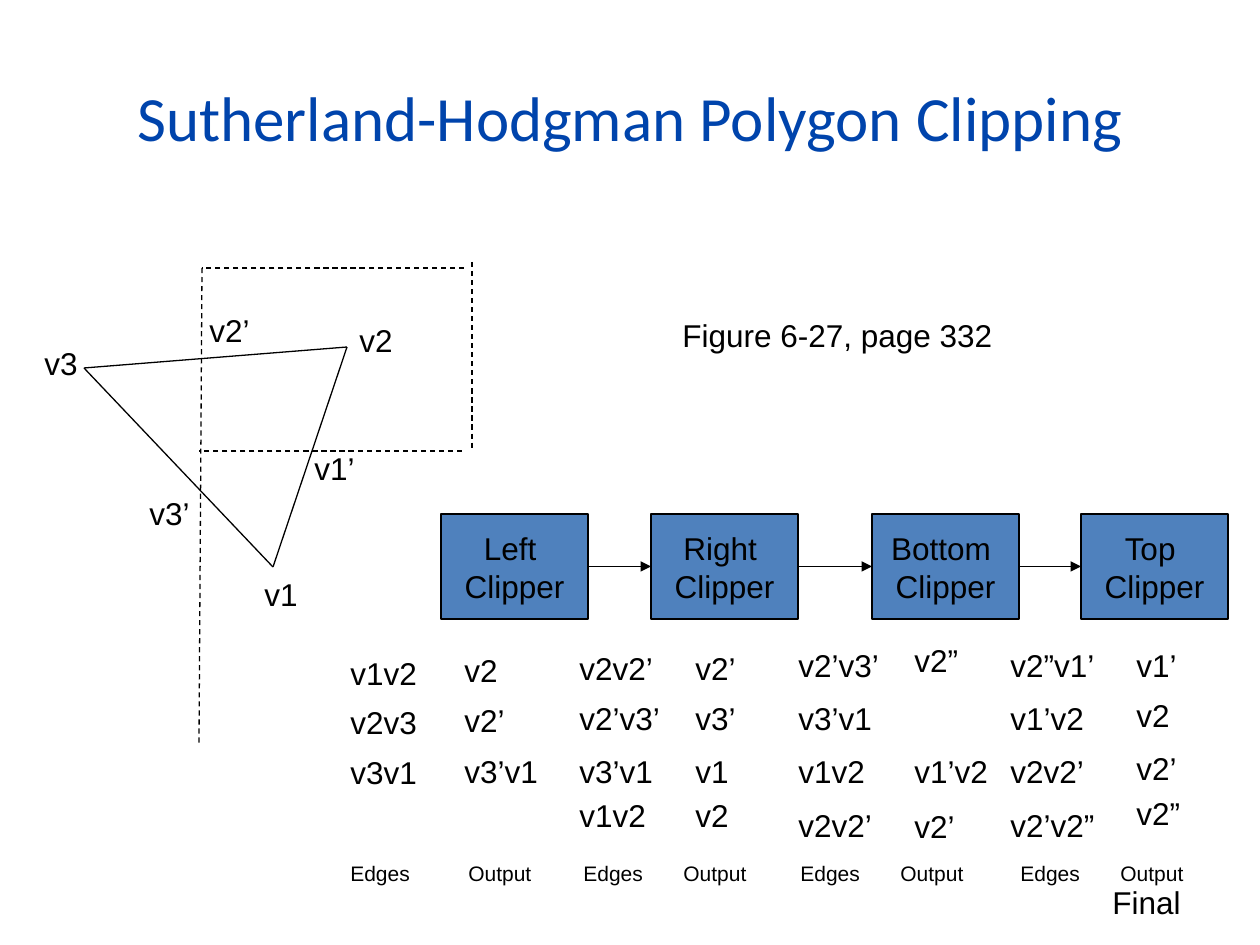
from itertools import pairwise

from lxml.etree import SubElement
from pptx import Presentation
from pptx.dml.color import RGBColor
from pptx.enum.dml import MSO_LINE
from pptx.enum.shapes import MSO_CONNECTOR, MSO_SHAPE
from pptx.enum.text import MSO_ANCHOR, MSO_AUTO_SIZE, PP_ALIGN
from pptx.oxml.ns import qn
from pptx.util import Emu, Pt

PX_PER_INCH = 126
BLACK = RGBColor(0x00, 0x00, 0x00)
TITLE_BLUE = RGBColor(0x00, 0x44, 0xAC)
CLIPPER_BLUE = RGBColor(0x4F, 0x81, 0xBD)

WINDOW_EDGES = [
    ((202, 268), (199, 746)),
    ((464, 268), (202, 268)),
    ((462, 451), (199, 451)),
    ((472, 262), (472, 451)),
]
V1, V2, V3 = (273, 567), (347, 347), (84, 368)
VERTEX_LABELS = [
    ("v2", 347, 315), ("v1", 252, 569), ("v3", 32, 338),
    ("v1’", 302, 443), ("v2’", 197, 305), ("v3’", 137, 488),
]
CLIPPERS = [("Left", 441), ("Right", 651), ("Bottom", 872), ("Top", 1081)]
# Each column: left, then the (vertices, top) entries under a clipper.
CLIPPER_COLUMNS = [
    (338, [("v1v2", 648), ("v2v3", 697), ("v3v1", 747)]),
    (452, [("v2", 645), ("v2’", 695), ("v3’v1", 746)]),
    (567, [("v2v2’", 643), ("v2’v3’", 693), ("v3’v1", 746), ("v1v2", 790)]),
    (683, [("v2’", 643), ("v3’", 693), ("v1", 746), ("v2", 790)]),
    (786, [("v2’v3’", 640), ("v3’v1", 693), ("v1v2", 746), ("v2v2’", 800)]),
    (902, [("v2”", 635), ("v1’v2", 746), ("v2’", 801)]),
    (998, [("v2”v1’", 640), ("v1’v2", 693), ("v2v2’", 746), ("v2’v2”", 800)]),
    (1124, [("v1’", 640), ("v2", 690), ("v2’", 743), ("v2”", 788)]),
]
# Left, width and distance from "Edges" to "Output".
COLUMN_HEADINGS = [(338, 212, 118), (571, 194, 100), (788, 194, 100), (1008, 194, 100)]


def px(length):
    return Emu(round(length * 914400 / PX_PER_INCH))


def set_font(paragraph, size=18, name="Arial", color=BLACK):
    font = paragraph.font
    font.size, font.name, font.color.rgb = Pt(size), name, color


def add_title(slide, text):
    title = slide.shapes.title
    title.left, title.top, title.width, title.height = px(63), px(38), px(1134), px(157)
    frame = title.text_frame
    frame.text = text
    frame.vertical_anchor = MSO_ANCHOR.MIDDLE
    frame.paragraphs[0].alignment = PP_ALIGN.CENTER
    set_font(frame.paragraphs[0], 36, "Calibri", TITLE_BLUE)


def add_label(slide, text, left, top, width, height=50, size=18, tab=None):
    box = slide.shapes.add_textbox(px(left), px(top), px(width), px(height))
    frame = box.text_frame
    frame.text = text
    # A tab stop needs a fixed left edge, so only tabbed labels wrap.
    frame.word_wrap = tab is not None
    frame.auto_size = MSO_AUTO_SIZE.SHAPE_TO_FIT_TEXT
    paragraph = frame.paragraphs[0]
    if tab:
        stops = SubElement(paragraph._p.get_or_add_pPr(), qn("a:tabLst"))
        SubElement(stops, qn("a:tab"), pos=str(px(tab)), algn="l")
    set_font(paragraph, size)


def add_vertices(slide, text, left, top):
    """Add a vertex list in a box as wide as its letters, digits and primes."""
    glyph_widths = {"v": 15.75, "’": 7, "”": 10.5}
    width = 26 + sum(glyph_widths.get(glyph, 17.5) for glyph in text)
    add_label(slide, text, left, top, width)


def add_line(slide, start=(0, 0), end=(0, 0), dashed=False):
    line = slide.shapes.add_connector(
        MSO_CONNECTOR.STRAIGHT, *map(px, start), *map(px, end))
    SubElement(line._element.spPr, qn("a:effectLst"))
    line.line.color.rgb = BLACK
    line.line.width = Pt(0.75)
    if dashed:
        line.line.dash_style = MSO_LINE.DASH
    return line


def add_clipper(slide, side, left):
    clipper = slide.shapes.add_shape(
        MSO_SHAPE.RECTANGLE, px(left), px(514), px(147), px(105))
    clipper.shadow.inherit = False
    clipper.fill.solid()
    clipper.fill.fore_color.rgb = CLIPPER_BLUE
    clipper.line.color.rgb = BLACK
    clipper.line.width = Pt(0.75)
    frame = clipper.text_frame
    frame.text = f"{side} \nClipper"
    frame.word_wrap = False
    frame.vertical_anchor = MSO_ANCHOR.MIDDLE
    for paragraph in frame.paragraphs:
        paragraph.alignment = PP_ALIGN.CENTER
        set_font(paragraph)
    return clipper


def add_arrow(slide, source, target):
    arrow = add_line(slide)
    arrow.begin_connect(source, 3)
    arrow.end_connect(target, 1)
    SubElement(arrow.line._get_or_add_ln(), qn("a:tailEnd"), type="triangle")


def main():
    deck = Presentation()
    deck.slide_width, deck.slide_height = px(1260), px(945)
    slide = deck.slides.add_slide(deck.slide_layouts[5])
    add_title(slide, "Sutherland-Hodgman Polygon Clipping")

    for start, end in WINDOW_EDGES:
        add_line(slide, start, end, dashed=True)
    for start, end in pairwise((V3, V1, V2, V3)):
        add_line(slide, start, end)
    for vertex, left, top in VERTEX_LABELS:
        add_vertices(slide, vertex, left, top)
    add_label(slide, "Figure 6-27, page 332", 670, 310, 336)

    clippers = [add_clipper(slide, side, left) for side, left in CLIPPERS]
    for source, target in pairwise(clippers):
        add_arrow(slide, source, target)

    for left, entries in CLIPPER_COLUMNS:
        for vertices, top in entries:
            add_vertices(slide, vertices, left, top)
    for left, width, tab in COLUMN_HEADINGS:
        add_label(slide, "Edges\tOutput", left, 854, width, 38, 12, tab)
    add_label(slide, "Final", 1100, 877, 98)

    deck.save("out.pptx")


if __name__ == "__main__":
    main()
